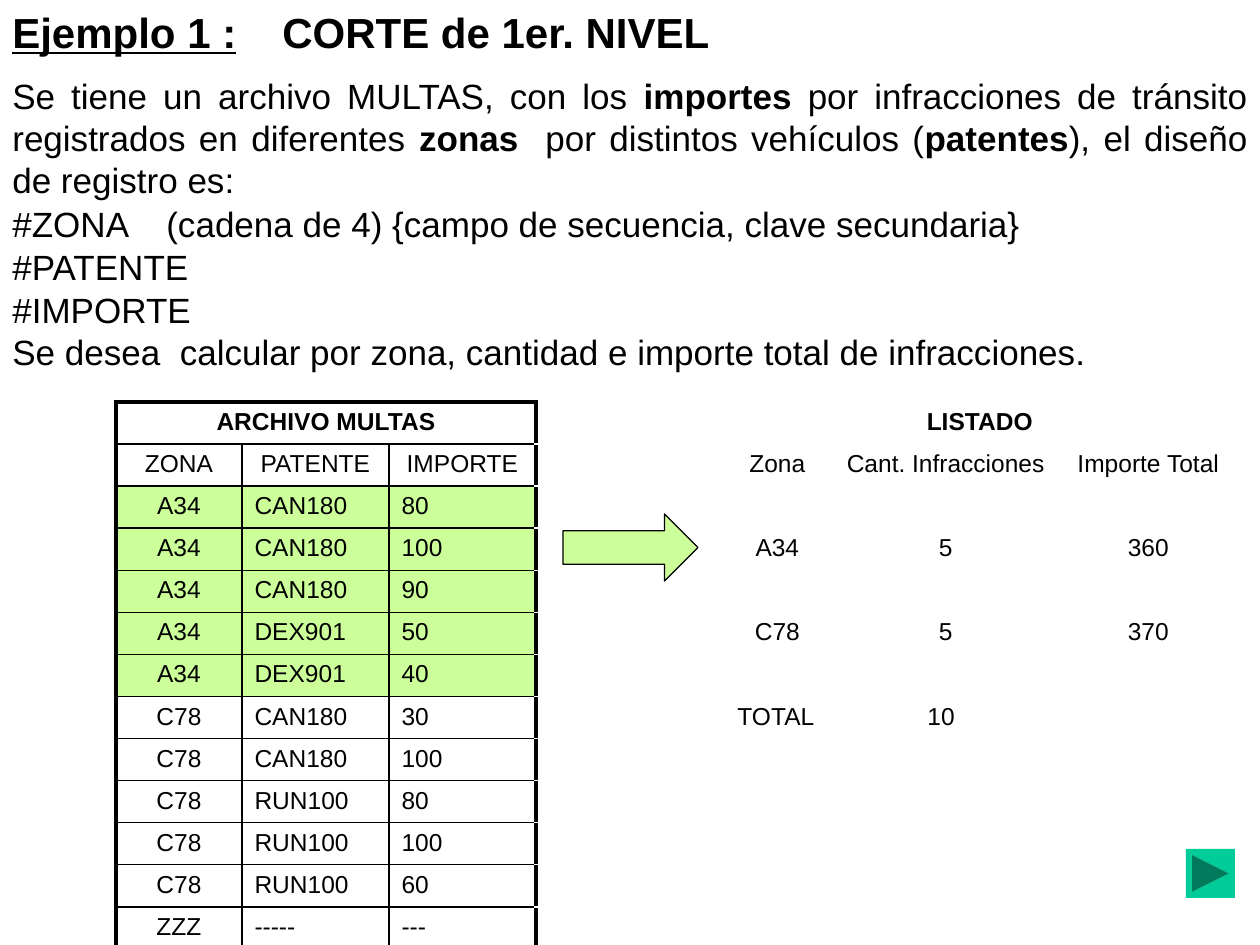
from dataclasses import dataclass

from lxml import etree
from pptx import Presentation
from pptx.dml.color import RGBColor
from pptx.enum.shapes import MSO_SHAPE
from pptx.enum.text import MSO_ANCHOR, PP_ALIGN
from pptx.oxml.ns import qn
from pptx.util import Emu, Pt

PX = 914400 // 126
FONT = "Arial"
COLORS = {"ink": "000000", "zone": "CCFF99", "button": "00CC99"}
LEFT, CENTER, JUSTIFY = PP_ALIGN.LEFT, PP_ALIGN.CENTER, PP_ALIGN.JUSTIFY
ARROW = MSO_SHAPE.RIGHT_ARROW
NEXT_BUTTON = MSO_SHAPE.ACTION_BUTTON_FORWARD_OR_NEXT
THIN, THICK = Pt(1), Pt(2.25)


@dataclass(frozen=True)
class Piece:
    text: str
    bold: bool = False
    underline: bool = False


@dataclass(frozen=True)
class Line:
    pieces: tuple[Piece, ...]
    size: int = 20
    align: PP_ALIGN = LEFT
    spacing: float = 1.0
    before: int = 10
    tab: int = 0


@dataclass(frozen=True)
class Box:
    left: int
    top: int
    width: int
    height: int

    def emu(self) -> list[Emu]:
        return [px(n) for n in (self.left, self.top, self.width, self.height)]


STATEMENT = (
    Line((Piece("Ejemplo 1 :", True, True), Piece("\tCORTE de 1er. NIVEL", True)),
         size=24, before=0, tab=270),
    Line((Piece("Se tiene un archivo MULTAS, con los "), Piece("importes", True),
          Piece(" por infracciones de tránsito registrados en diferentes "),
          Piece("zonas", True), Piece("  por distintos vehículos ("),
          Piece("patentes", True), Piece("), el diseño de registro es:")),
         align=JUSTIFY),
    Line((Piece("#ZONA\t(cadena de 4) {campo de secuencia, clave secundaria}"),),
         spacing=0.6, tab=154),
    Line((Piece("#PATENTE"),), spacing=0.6),
    Line((Piece("#IMPORTE"),), spacing=0.6),
    Line((Piece("Se desea  calcular por zona, cantidad e importe total de infracciones."),),
         spacing=0.6),
)

FINES = (
    ("A34", "CAN180", "80"), ("A34", "CAN180", "100"), ("A34", "CAN180", "90"),
    ("A34", "DEX901", "50"), ("A34", "DEX901", "40"),
    ("C78", "CAN180", "30"), ("C78", "CAN180", "100"), ("C78", "RUN100", "80"),
    ("C78", "RUN100", "100"), ("C78", "RUN100", "60"), ("ZZZ", "-----", "---"),
)
FILE_HEADER = ("ZONA", "PATENTE", "IMPORTE")
REPORT = {
    1: ("Zona", "Cant. Infracciones", "Importe Total"),
    3: ("A34", "5", "360"),
    5: ("C78", "5", "370"),
}
REPORT_COLUMN, TOTAL_ROW = 4, 7
COLUMN_WIDTHS = (126, 147, 147, 189, 105, 232, 173)
ROW_HEIGHT = 42
ROW_COUNT = len(FINES) + 2


def px(count: int) -> Emu:
    return Emu(count * PX)


def color(name: str) -> RGBColor:
    return RGBColor.from_string(COLORS[name])


def write_line(paragraph, line: Line) -> None:
    paragraph.alignment = line.align
    paragraph.line_spacing = line.spacing
    paragraph.space_before = Pt(line.before)
    if line.tab:
        tabs = etree.SubElement(paragraph._p.get_or_add_pPr(), qn("a:tabLst"))
        etree.SubElement(tabs, qn("a:tab"), pos=str(px(line.tab)), algn="l")
    for piece in line.pieces:
        run = paragraph.add_run()
        run.text = piece.text
        run.font.name = FONT
        run.font.size = Pt(line.size)
        run.font.bold = piece.bold
        run.font.underline = piece.underline
        run.font.color.rgb = color("ink")


def add_statement(slide, box: Box, lines: tuple[Line, ...]) -> None:
    frame = slide.shapes.add_textbox(*box.emu()).text_frame
    frame.word_wrap = True
    for index, line in enumerate(lines):
        write_line(frame.add_paragraph() if index else frame.paragraphs[0], line)


def write_cell(cell, text: str, align: PP_ALIGN = CENTER,
               bold: bool = False, tab: int = 0) -> None:
    write_line(cell.text_frame.paragraphs[0],
               Line((Piece(text, bold),), size=14, align=align, before=0, tab=tab))


def draw_borders(cell, row: int, column: int) -> None:
    """Thin grid lines, thick around the file table and its merged title."""
    widths = {
        "a:lnL": THICK if column == 0 or row == 0 else THIN,
        "a:lnR": THICK if column == 2 or row == 0 else THIN,
        "a:lnT": THICK if row == 0 else THIN,
        "a:lnB": THICK if row == ROW_COUNT - 1 else THIN,
    }
    properties = cell._tc.get_or_add_tcPr()
    for side, width in widths.items():
        border = etree.SubElement(properties, qn(side), w=str(width))
        fill = etree.SubElement(border, qn("a:solidFill"))
        etree.SubElement(fill, qn("a:srgbClr"), val=COLORS["ink"])


def add_fines_table(slide, box: Box) -> None:
    table = slide.shapes.add_table(ROW_COUNT, len(COLUMN_WIDTHS), *box.emu()).table
    table.first_row = table.horz_banding = False
    for column, width in zip(table.columns, COLUMN_WIDTHS):
        column.width = px(width)
    for row in table.rows:
        row.height = px(ROW_HEIGHT)

    write_cell(table.cell(0, 0), "ARCHIVO MULTAS", bold=True)
    write_cell(table.cell(0, REPORT_COLUMN), "LISTADO", bold=True)
    for row, record in enumerate((FILE_HEADER, *FINES), start=1):
        for column, value in enumerate(record):
            align = LEFT if row > 1 and column else CENTER
            write_cell(table.cell(row, column), value, align)
    for row, values in REPORT.items():
        for column, value in enumerate(values, start=REPORT_COLUMN):
            write_cell(table.cell(row, column), value)
    write_cell(table.cell(TOTAL_ROW, REPORT_COLUMN), "TOTAL\t10", LEFT, tab=190)

    for row in range(ROW_COUNT):
        for column in range(len(COLUMN_WIDTHS)):
            cell = table.cell(row, column)
            cell.vertical_anchor = MSO_ANCHOR.TOP
            if not cell.text:
                cell.margin_top = cell.margin_bottom = 0
            if column < REPORT_COLUMN - 1:
                draw_borders(cell, row, column)
            if column < REPORT_COLUMN - 1 and table.cell(row, 0).text == "A34":
                cell.fill.solid()
                cell.fill.fore_color.rgb = color("zone")
            else:
                cell.fill.background()

    for row, first, last in ((0, 0, 2), (0, 4, 6), (TOTAL_ROW, 4, 5)):
        table.cell(row, first).merge(table.cell(row, last))


def add_filled_shape(slide, kind: MSO_SHAPE, box: Box, fill: str, outlined: bool) -> None:
    shape = slide.shapes.add_shape(kind, *box.emu())
    shape.shadow.inherit = False
    shape.fill.solid()
    shape.fill.fore_color.rgb = color(fill)
    if outlined:
        shape.line.color.rgb = color("ink")
        shape.line.width = Pt(0.75)
    else:
        shape.line.fill.background()


def main() -> None:
    deck = Presentation()
    deck.slide_width, deck.slide_height = px(1260), px(945)
    slide = deck.slides.add_slide(deck.slide_layouts[6])
    add_statement(slide, Box(0, 0, 1260, 394), STATEMENT)
    add_fines_table(slide, Box(116, 402, sum(COLUMN_WIDTHS), ROW_HEIGHT * ROW_COUNT))
    add_filled_shape(slide, ARROW, Box(563, 514, 135, 67), "zone", outlined=True)
    add_filled_shape(slide, NEXT_BUTTON, Box(1186, 849, 49, 49), "button", outlined=False)
    deck.save("out.pptx")


if __name__ == "__main__":
    main()
